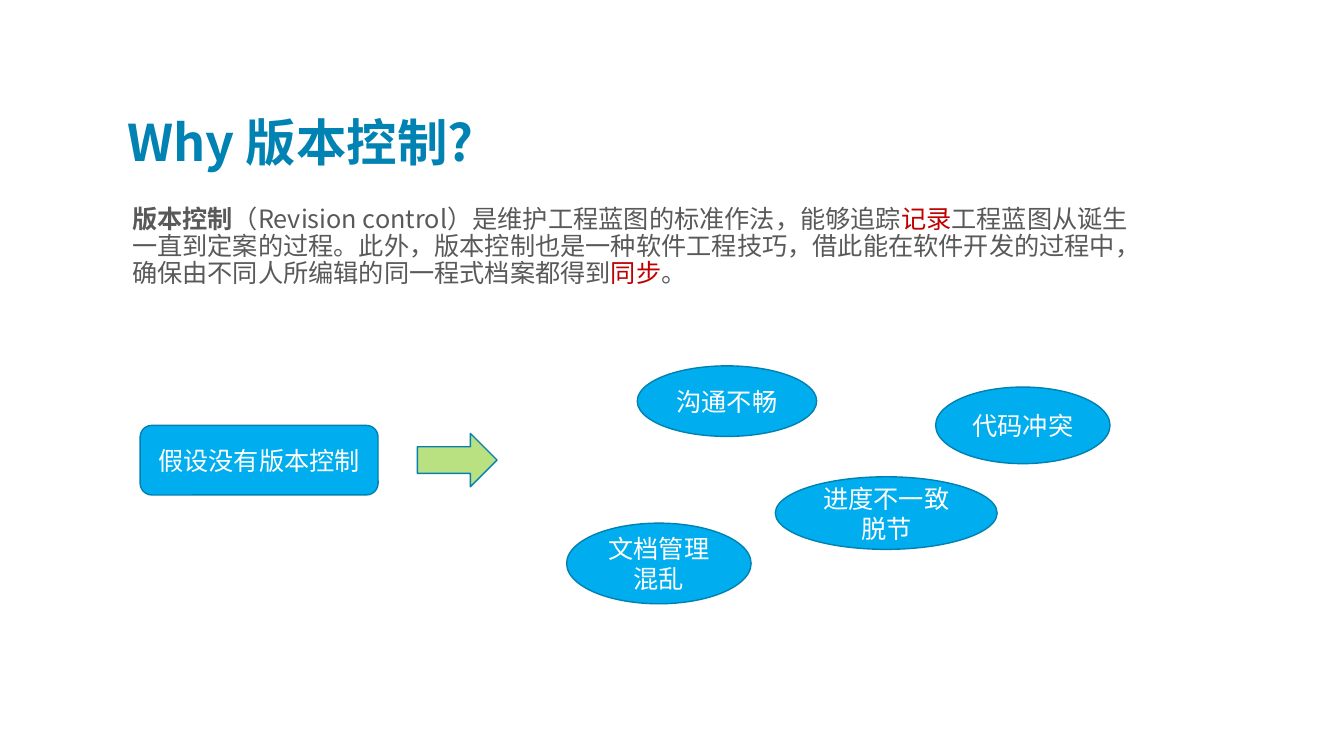
import pptx
import pptx.util
import pptx.dml.color
import pptx.enum.shapes
import pptx.enum.text

Inches, Pt = pptx.util.Inches, pptx.util.Pt
SHAPES = pptx.enum.shapes.MSO_SHAPE
ANCHOR = pptx.enum.text.MSO_ANCHOR
ALIGN = pptx.enum.text.PP_ALIGN

COLORS = {"title": "0083B3", "body": "595959", "accent": "C00000", "blue": "00AEEF",
          "green": "BAE181", "outline": "0081B1", "white": "FFFFFF"}
TEXT_FONT, SHAPE_FONT = "Noto Sans CJK SC", "Karla"

TITLE = "Why 版本控制?"
# text, colour, bold
DEFINITION = [
    ("版本控制", "body", True),
    ("（Revision control）是维护工程蓝图的标准作法，能够追踪", "body", False),
    ("记录", "accent", False),
    ("工程蓝图从诞生一直到定案的过程。此外，版本控制也是一种软件工程技巧，"
     "借此能在软件开发的过程中，确保由不同人所编辑的同一程式档案都得到", "body", False),
    ("同步", "accent", False),
    ("。", "body", False),
]
# preset, fill, text, (left, top, width, height)
DIAGRAM = [
    (SHAPES.ROUNDED_RECTANGLE, "blue", "假设没有版本控制", (1.39, 4.22, 2.36, 0.69)),
    (SHAPES.RIGHT_ARROW, "green", "", (4.14, 4.3, 0.79, 0.53)),
    (SHAPES.OVAL, "blue", "沟通不畅", (6.32, 3.63, 1.78, 0.7)),
    (SHAPES.OVAL, "blue", "进度不一致脱节", (7.69, 4.73, 2.2, 0.72)),
    (SHAPES.OVAL, "blue", "文档管理混乱", (5.62, 5.19, 1.83, 0.8)),
    (SHAPES.OVAL, "blue", "代码冲突", (9.28, 3.84, 1.73, 0.76)),
]


def rgb(name):
    return pptx.dml.color.RGBColor.from_string(COLORS[name])


def place(part, left, top, width, height):
    part.left, part.top = Inches(left), Inches(top)
    part.width, part.height = Inches(width), Inches(height)


def add_run(paragraph, text, size, font, color, bold=False):
    run = paragraph.add_run()
    run.text = text
    run.font.size, run.font.name, run.font.bold = Pt(size), font, bold
    run.font.color.rgb = rgb(color)


def main():
    deck = pptx.Presentation()
    deck.slide_width, deck.slide_height = Inches(13.33), Inches(7.5)
    slide = deck.slides.add_slide(deck.slide_layouts[1])

    # Title
    title = slide.shapes.title
    place(title, 1.16, 0.58, 9.5, 1.17)
    title.text_frame.vertical_anchor = ANCHOR.BOTTOM
    heading = title.text_frame.paragraphs[0]
    heading.alignment = ALIGN.LEFT
    add_run(heading, TITLE, 36, TEXT_FONT, "title", True)

    # Definition, without the placeholder's bullet
    body = slide.placeholders[1]
    place(body, 1.16, 2, 10.22, 4.58)
    definition = body.text_frame.paragraphs[0]
    definition.line_spacing, definition.space_before = 0.9, Pt(18)
    properties = definition._p.get_or_add_pPr()
    properties.set("marL", str(Inches(0.05)))
    properties.set("indent", "0")
    properties.append(pptx.oxml.parse_xml(
        '<a:buNone xmlns:a="http://schemas.openxmlformats.org/drawingml/2006/main"/>'))
    for text, color, bold in DEFINITION:
        add_run(definition, text, 18, TEXT_FONT, color, bold)

    # Premise, arrow and consequences
    for preset, fill, text, box in DIAGRAM:
        node = slide.shapes.add_shape(preset, *map(Inches, box))
        node.shadow.inherit = False
        node.fill.solid()
        node.fill.fore_color.rgb = rgb(fill)
        node.line.color.rgb = rgb("outline")
        node.line.width = Pt(1)
        if text:
            node.text_frame.word_wrap = True
            node.text_frame.vertical_anchor = ANCHOR.MIDDLE
            label = node.text_frame.paragraphs[0]
            label.alignment = ALIGN.CENTER
            add_run(label, text, 18, SHAPE_FONT, "white")

    deck.save("out.pptx")


if __name__ == "__main__":
    main()
